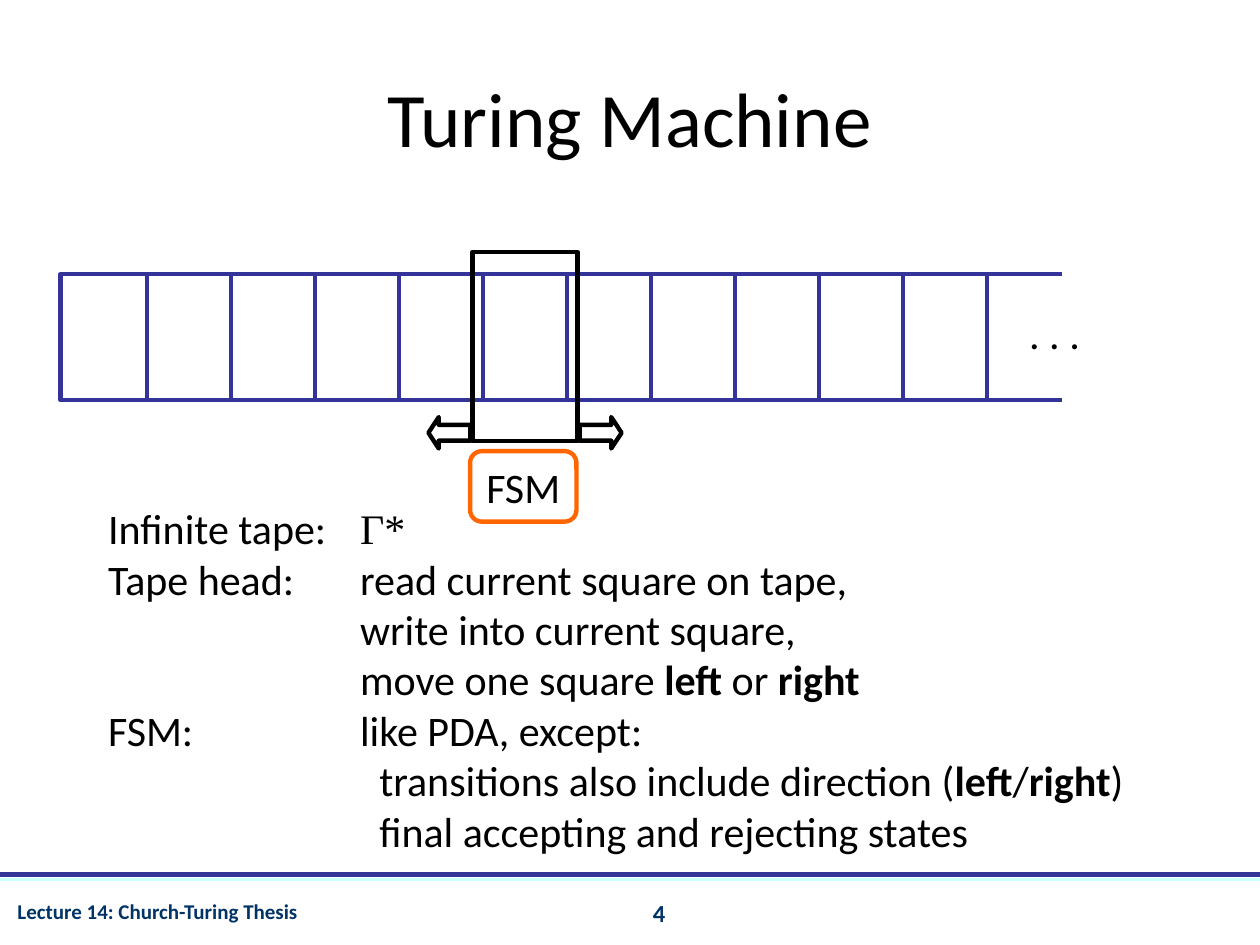
from lxml.etree import SubElement
from pptx import Presentation
from pptx.dml.color import RGBColor
from pptx.enum.shapes import MSO_CONNECTOR, MSO_SHAPE
from pptx.enum.text import MSO_ANCHOR, PP_ALIGN
from pptx.oxml.ns import qn
from pptx.util import Pt

BLACK = RGBColor(0x00, 0x00, 0x00)
WHITE = RGBColor(0xFF, 0xFF, 0xFF)
INDIGO = RGBColor(0x33, 0x33, 0x99)
ICE = RGBColor(0xCC, 0xFF, 0xFF)
NAVY = RGBColor(0x00, 0x33, 0x66)
ORANGE = RGBColor(0xFF, 0x66, 0x00)
SANS, SERIF = "Calibri", "Times New Roman"
LINE_WIDTH = 2.5

TITLE = "Turing Machine"
FOOTER = "Lecture 14: Church-Turing Thesis"
PAGE = "4"

# (term, indent level, runs); a run is (text, bold, font)
DEFINITIONS = [
    ("Infinite tape:", 0, [("Γ*", False, SERIF)]),
    ("Tape head:", 0, [("read current square on tape,", False, SANS)]),
    ("", 0, [("write into current square,", False, SANS)]),
    ("", 0, [("move one square ", False, SANS), ("left", True, SANS),
             (" or ", False, SANS), ("right", True, SANS)]),
    ("FSM:", 0, [("like PDA, except:", False, SANS)]),
    ("", 1, [("transitions also include direction (", False, SANS),
             ("left", True, SANS), ("/", False, SANS),
             ("right", True, SANS), (")", False, SANS)]),
    ("", 1, [("final accepting and rejecting states", False, SANS)]),
]
TERM_WIDTH, LEVEL_INDENT = 144, 11

# Tape geometry
TAPE_LEFT, TAPE_TOP, TAPE_WIDTH, TAPE_HEIGHT = 34.5, 156.7, 636, 72
FIRST_DIVIDER, SQUARE_WIDTH, DIVIDER_COUNT = 84, 48, 11


def add_run(paragraph, text, size, color=BLACK, bold=False, font=SANS):
    run = paragraph.add_run()
    run.text = text
    run.font.size = Pt(size)
    run.font.name = font
    run.font.bold = bold
    run.font.color.rgb = color


def add_line(slide, x1, y1, x2, y2, color, width=LINE_WIDTH):
    line = slide.shapes.add_connector(
        MSO_CONNECTOR.STRAIGHT, Pt(x1), Pt(y1), Pt(x2), Pt(y2))
    line.line.color.rgb = color
    line.line.width = Pt(width)
    SubElement(line._element.spPr, qn("a:effectLst"))


def add_outline(slide, preset, left, top, width, height, color, fill=None):
    shape = slide.shapes.add_shape(
        preset, Pt(left), Pt(top), Pt(width), Pt(height))
    shape.shadow.inherit = False
    if fill is None:
        shape.fill.background()
    else:
        shape.fill.solid()
        shape.fill.fore_color.rgb = fill
    shape.line.color.rgb = color
    shape.line.width = Pt(LINE_WIDTH)
    return shape


def add_text_frame(slide, left, top, width, height):
    box = slide.shapes.add_textbox(Pt(left), Pt(top), Pt(width), Pt(height))
    box.text_frame.word_wrap = True
    return box.text_frame


def add_footer(slide):
    page = add_text_frame(slide, 301.7, 509.8, 150, 26.6).paragraphs[0]
    page.alignment = PP_ALIGN.CENTER
    add_run(page, PAGE, 14, NAVY, bold=True)
    lecture = add_text_frame(slide, 2.9, 509.8, 309, 26).paragraphs[0]
    add_run(lecture, FOOTER, 12, NAVY, bold=True)
    add_line(slide, 0, 499.7, 720, 499.7, INDIGO)
    add_line(slide, 0, 502.6, 720, 502.6, ICE, 1.5)


def add_title(slide):
    title = slide.shapes.title
    title.left, title.top, title.width, title.height = (
        Pt(36), Pt(21.6), Pt(648), Pt(90))
    title.text_frame.vertical_anchor = MSO_ANCHOR.MIDDLE
    heading = title.text_frame.paragraphs[0]
    heading.alignment = PP_ALIGN.CENTER
    add_run(heading, TITLE, 44)


def add_tape(slide):
    add_outline(slide, MSO_SHAPE.RECTANGLE, TAPE_LEFT, TAPE_TOP,
                TAPE_WIDTH, TAPE_HEIGHT, INDIGO)
    for index in range(DIVIDER_COUNT):
        x = FIRST_DIVIDER + index * SQUARE_WIDTH
        add_line(slide, x, TAPE_TOP, x, TAPE_TOP + TAPE_HEIGHT, INDIGO)
    # White cover leaves the right end of the tape open
    add_outline(slide, MSO_SHAPE.RECTANGLE, 608.4, 144, 88, 102, WHITE, WHITE)
    dots = add_text_frame(slide, 581, 172, 60, 36)
    add_run(dots.paragraphs[0], ". . .", 24)


def add_head(slide):
    add_outline(slide, MSO_SHAPE.RECTANGLE, 270, 144, 60, 108, BLACK)
    for preset, left in ((MSO_SHAPE.LEFT_ARROW, 244.8),
                         (MSO_SHAPE.RIGHT_ARROW, 331.2)):
        arrow = add_outline(slide, preset, left, 238.3, 24, 18, BLACK)
        arrow.adjustments[1] = 0.33


def add_definitions(slide):
    frame = add_text_frame(slide, 54.7, 283.7, 620, 209)
    for index, (term, level, runs) in enumerate(DEFINITIONS):
        paragraph = frame.paragraphs[0] if index == 0 else frame.add_paragraph()
        properties = paragraph._p.get_or_add_pPr()
        properties.set("marL", str(Pt(TERM_WIDTH + level * LEVEL_INDENT)))
        properties.set("indent", str(Pt(-TERM_WIDTH if term else 0)))
        if term:
            add_run(paragraph, term + "\t", 24)
        for text, bold, font in runs:
            add_run(paragraph, text, 24, bold=bold, font=font)


def add_state_machine(slide):
    machine = add_outline(slide, MSO_SHAPE.ROUNDED_RECTANGLE,
                          268.6, 257.8, 60.8, 40.3, ORANGE)
    frame = machine.text_frame
    frame.word_wrap = False
    frame.vertical_anchor = MSO_ANCHOR.MIDDLE
    frame.paragraphs[0].alignment = PP_ALIGN.CENTER
    add_run(frame.paragraphs[0], "FSM", 24)


def main():
    deck = Presentation()
    deck.slide_width, deck.slide_height = Pt(720), Pt(540)
    slide = deck.slides.add_slide(deck.slide_layouts[5])
    add_footer(slide)
    add_title(slide)
    add_tape(slide)
    add_head(slide)
    add_definitions(slide)
    add_state_machine(slide)
    deck.save("out.pptx")


if __name__ == "__main__":
    main()
